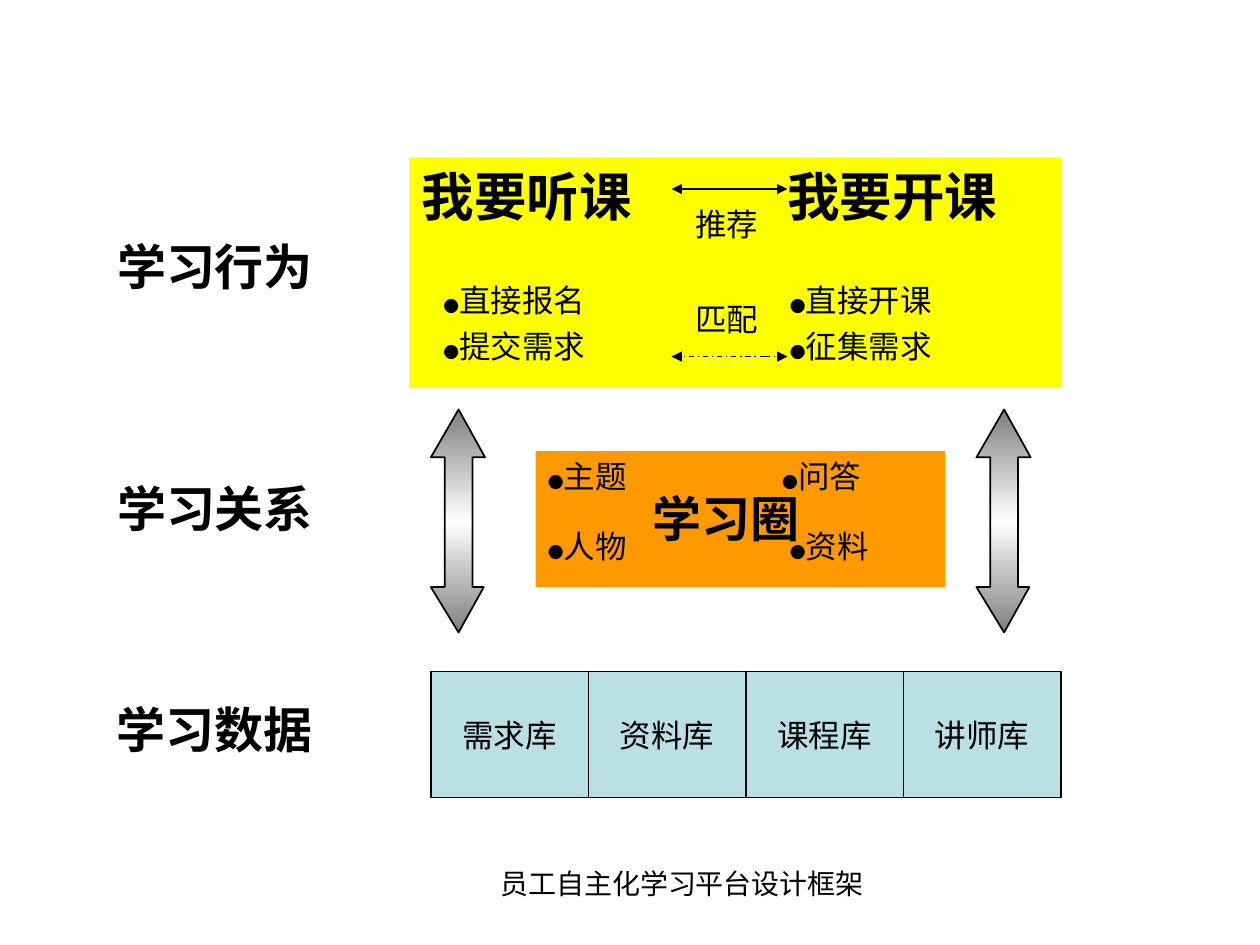
"""Build the framework slide of a self-directed staff learning platform."""
from copy import deepcopy
from dataclasses import dataclass

import pptx
import pptx.dml.color
import pptx.enum.dml
import pptx.enum.shapes
import pptx.enum.text
import pptx.oxml
import pptx.oxml.ns
import pptx.util
from lxml import etree
from pptx.util import Inches

LEFT = pptx.enum.text.PP_ALIGN.LEFT
CENTER = pptx.enum.text.PP_ALIGN.CENTER
TOP = pptx.enum.text.MSO_ANCHOR.TOP
MIDDLE = pptx.enum.text.MSO_ANCHOR.MIDDLE
BLACK = "000000"


@dataclass(frozen=True)
class Area:
    left: float
    top: float
    width: float
    height: float

    def lengths(self) -> tuple:
        return tuple(Inches(n) for n in (self.left, self.top, self.width, self.height))


@dataclass(frozen=True)
class Label:
    text: str
    area: Area
    size: float = 28
    bold: bool = True
    align: int = LEFT


@dataclass(frozen=True)
class Link:
    y: float
    middle: float
    dash: int


LABELS = [
    Label("学习行为", Area(0.83, 1.83, 1.92, 0.67)),
    Label("学习关系", Area(0.83, 3.75, 2, 0.58)),
    Label("学习数据", Area(0.83, 5.5, 2, 0.58)),
    Label("推荐", Area(5.42, 1.58, 0.83, 0.42), 18, False),
    Label("匹配", Area(5.42, 2.33, 0.75, 0.42), 18, False),
    Label("学习圈", Area(5.08, 3.83, 1.42, 0.58)),
    Label("员工自主化学习平台设计框架", Area(3.58, 6.83, 3.67, 0.42), 16, False, CENTER),
]
LINKS = [
    Link(1.5, 5.92, pptx.enum.dml.MSO_LINE.SOLID),
    Link(2.83, 6.07, pptx.enum.dml.MSO_LINE.DASH_DOT),
]
STORES = ["需求库", "资料库", "课程库", "讲师库"]
ARROW_OUTLINE = [
    (0.43, 0.38), (0.22, 0), (0, 0.38), (0.11, 0.38), (0.11, 1.41), (0, 1.41),
    (0.22, 1.77), (0.42, 1.41), (0.33, 1.41), (0.33, 0.38),
]


def color(value: str):
    return pptx.dml.color.RGBColor.from_string(value)


def child(parent, tag: str, **attributes: str):
    return etree.SubElement(parent, pptx.oxml.ns.qn(tag), **attributes)


def add_text(frame, text: str, *, size: float = 18, bold: bool = False,
             align: int = LEFT, before: float = 0, margin: float = 0) -> None:
    para = frame.add_paragraph() if frame.text else frame.paragraphs[0]
    properties = para._p.get_or_add_pPr()
    properties.set("marL", str(int(Inches(margin))))
    properties.set("indent", "0")
    child(properties, "a:buNone")
    para.alignment = align
    para.space_before = pptx.util.Pt(before)
    for part in text.replace("●", "|●|").split("|"):
        if part:
            span = para.add_run()
            span.text = part
            span.font.name = "Arial"
            span.font.size = pptx.util.Pt(9 if part == "●" else size)
            span.font.bold = bold
            span.font.color.rgb = color(BLACK)


def set_frame(shape, anchor: int = TOP, wrap: bool = True):
    frame = shape.text_frame
    frame.auto_size = pptx.enum.text.MSO_AUTO_SIZE.NONE
    frame.word_wrap = wrap
    frame.vertical_anchor = anchor
    return frame


def add_label(page, label: Label, placeholder=None) -> None:
    box = placeholder or page.shapes.add_textbox(*label.area.lengths())
    box.left, box.top, box.width, box.height = label.area.lengths()
    add_text(set_frame(box), label.text, size=label.size, bold=label.bold, align=label.align)


def add_panel(page, area: Area, fill: str, outlined: bool = False):
    kind = pptx.enum.shapes.MSO_SHAPE.RECTANGLE
    panel = page.shapes.add_shape(kind, *area.lengths())
    panel.shadow.inherit = False
    panel.fill.solid()
    panel.fill.fore_color.rgb = color(fill)
    if outlined:
        panel.line.color.rgb = color(BLACK)
        panel.line.width = pptx.util.Pt(0.75)
    else:
        panel.line.fill.background()
    return panel


def fill_behavior(shape, heading: str, items: tuple, margin: float) -> None:
    frame = set_frame(shape)
    add_text(frame, heading, size=30, bold=True)
    for item, before in zip(items, (31, 4.5)):
        add_text(frame, item, before=before, margin=margin)


def fill_circle(shape, first: str, second: str, margin: float = 0) -> None:
    frame = set_frame(shape)
    add_text(frame, first)
    add_text(frame, second, before=18, margin=margin)


def add_link(page, link: Link) -> None:
    for end in (5.33, 6.25):
        line = page.shapes.add_connector(
            pptx.enum.shapes.MSO_CONNECTOR.STRAIGHT,
            Inches(link.middle), Inches(link.y), Inches(end), Inches(link.y))
        line.line.color.rgb = color(BLACK)
        line.line.width = pptx.util.Pt(0.75)
        line.line.dash_style = link.dash
        child(line.line._get_or_add_ln(), "a:tailEnd", type="triangle")
        child(line._element.spPr, "a:effectLst")


def add_block_arrow(page, left: float, top: float) -> None:
    points = [(Inches(left + x), Inches(top + y)) for x, y in ARROW_OUTLINE]
    builder = page.shapes.build_freeform(*points[0])
    builder.add_line_segments(points[1:], close=True)
    arrow = builder.convert_to_shape()
    arrow.shadow.inherit = False
    arrow.line.color.rgb = color(BLACK)
    arrow.line.width = pptx.util.Pt(1)
    arrow.fill.gradient()
    stops = next(arrow._element.spPr.iter(pptx.oxml.ns.qn("a:gsLst")))
    stops.append(deepcopy(stops[0]))
    shades = ((0, "7F7F7F"), (0.5, "FFFFFF"), (1, "7F7F7F"))
    for stop, (position, shade) in zip(arrow.fill.gradient_stops, shades):
        stop.position = position
        stop.color.rgb = color(shade)
    arrow.fill.gradient_angle = 90


def main() -> None:
    deck = pptx.Presentation()
    deck.slide_width, deck.slide_height = Inches(10), Inches(7.5)
    page = deck.slides.add_slide(deck.slide_layouts[3])
    title, *bodies = page.placeholders
    title._element.getparent().remove(title._element)
    for label, body in zip(LABELS, bodies):
        add_label(page, label, body)

    listen = add_panel(page, Area(3.25, 1.25, 5.17, 1.83), "FFFF00")
    fill_behavior(listen, "我要听课", ("●直接报名", "●提交需求"), 0.17)
    teach = page.shapes.add_textbox(*Area(6.15, 1.25, 2.27, 1.83).lengths())
    fill_behavior(teach, "我要开课", ("●直接开课", "●征集需求"), 0.02)
    for link in LINKS:
        add_link(page, link)
    for left in (3.42, 7.75):
        add_block_arrow(page, left, 3.25)

    circle = add_panel(page, Area(4.25, 3.58, 3.25, 1.08), "FF9900")
    fill_circle(circle, "●主题", "●人物")
    answers = page.shapes.add_textbox(*Area(6.11, 3.58, 1.39, 1.08).lengths())
    fill_circle(answers, "●问答", "●资料", 0.06)

    for column, store in enumerate(STORES):
        area = Area(3.42 + 1.25 * column, 5.33, 1.25, 1)
        frame = set_frame(add_panel(page, area, "BBE0E3", True), MIDDLE, False)
        add_text(frame, store, align=CENTER)
    for label in LABELS[len(bodies):]:
        add_label(page, label)
    deck.save("out.pptx")


if __name__ == "__main__":
    main()
